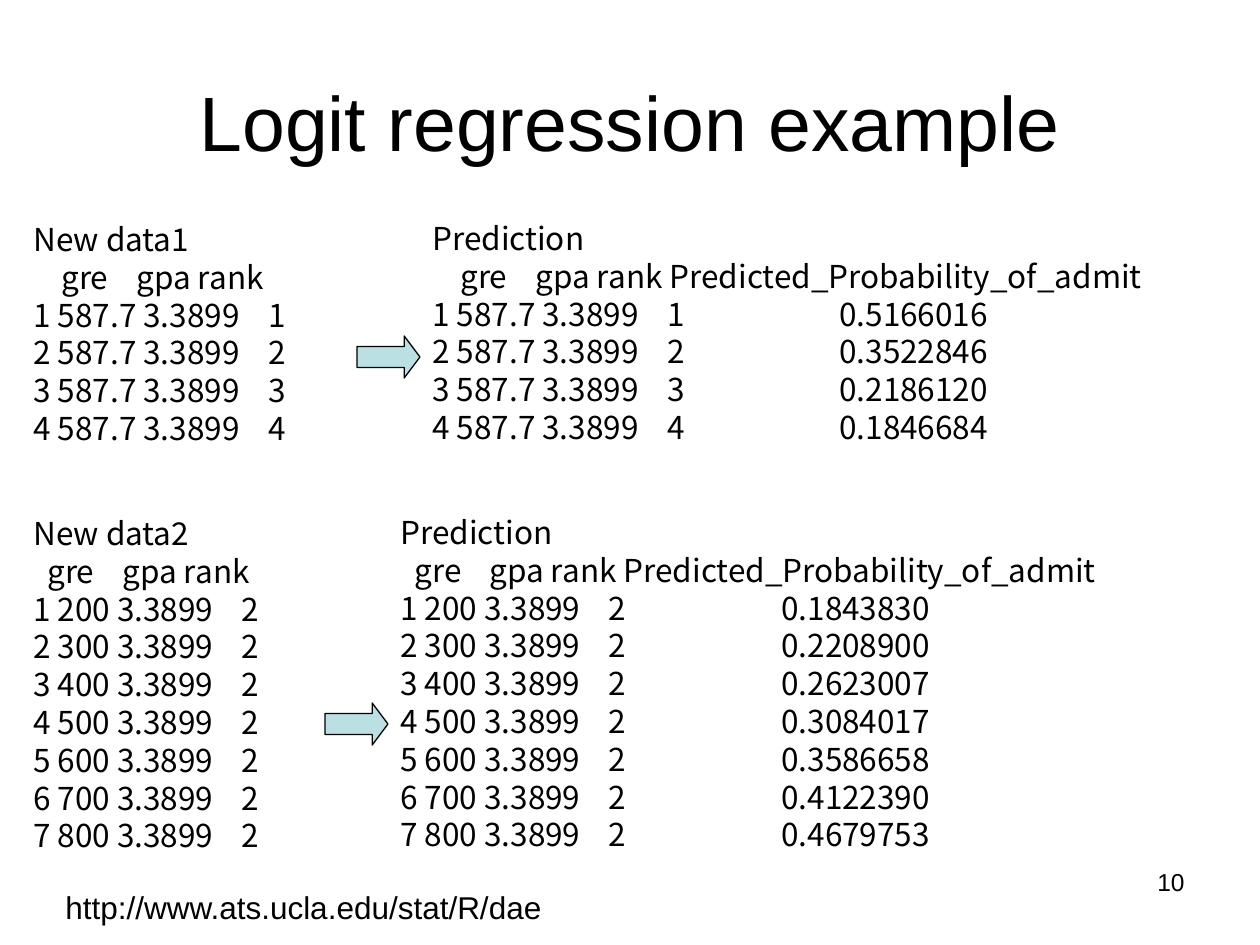
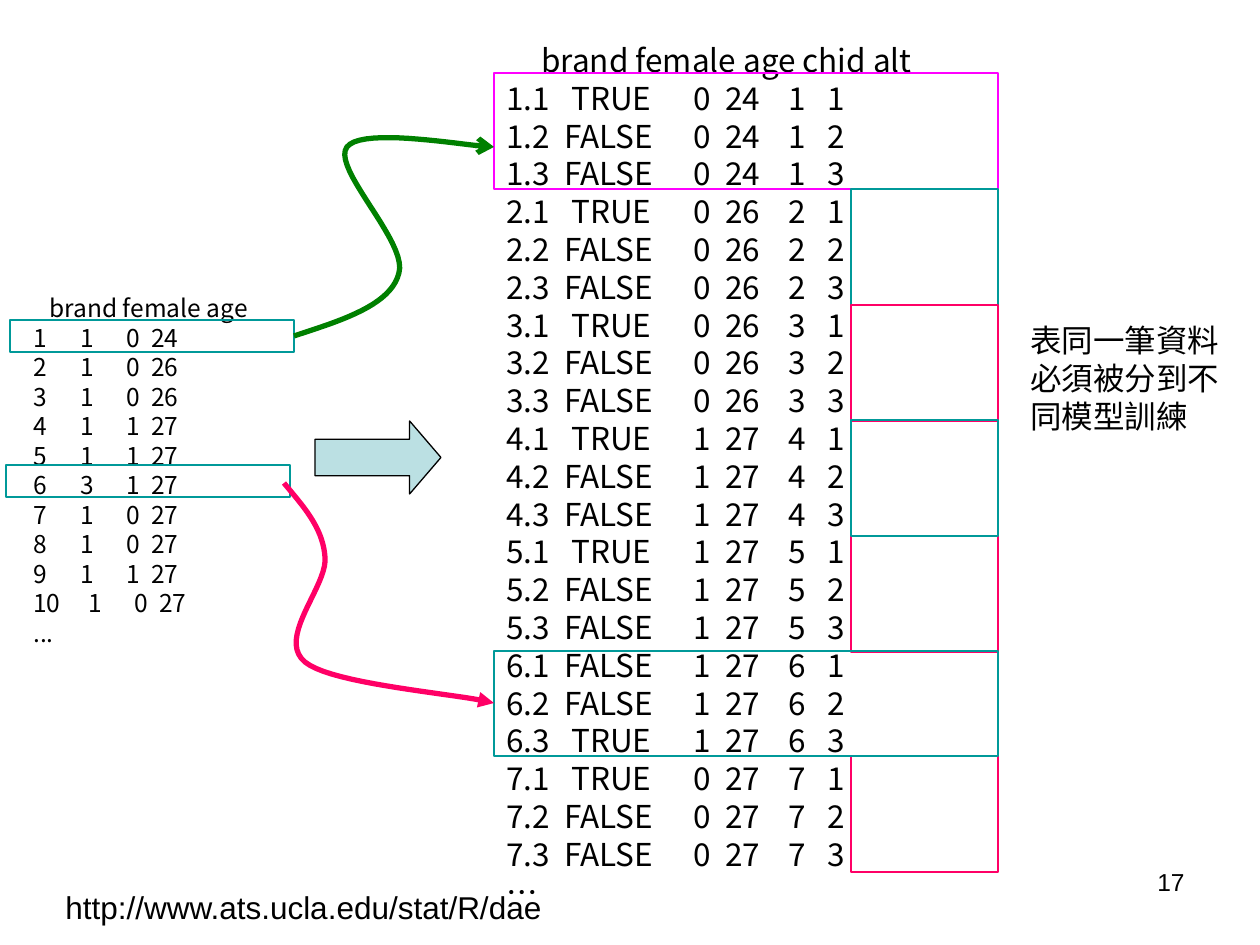
from lxml import etree
from pptx import Presentation
from pptx import util as u
from pptx.dml.color import RGBColor
from pptx.enum import shapes, text
from pptx.oxml.ns import qn

PX = 914400 / 126
BLACK = RGBColor(0x00, 0x00, 0x00)
PALE_TEAL = RGBColor(0xBB, 0xE0, 0xE3)
TEAL = RGBColor(0x00, 0x99, 0x99)
PINK = RGBColor(0xFF, 0x00, 0x66)
MAGENTA = RGBColor(0xFF, 0x00, 0xFF)
GREEN = RGBColor(0x00, 0x80, 0x00)

TITLE = {"name": "Arial", "size": u.Pt(44)}
URL = {"name": "Arial", "size": u.Pt(18)}
PAGE = {"name": "Arial", "size": u.Pt(14)}
DATA = {"name": "Noto Sans CJK KR", "size": u.Pt(18)}
SMALL_DATA = {"name": "Noto Sans CJK KR", "size": u.Pt(14)}

LEFT, RIGHT, CENTER = text.PP_ALIGN.LEFT, text.PP_ALIGN.RIGHT, text.PP_ALIGN.CENTER


def px(*lengths):
    return [u.Emu(round(length * PX)) for length in lengths]


def style(paragraph, look, align=LEFT):
    paragraph.alignment = align
    for key, value in look.items():
        setattr(paragraph.font, key, value)
    paragraph.font.color.rgb = BLACK


def set_tabs(paragraph, stops):
    tab_list = etree.SubElement(paragraph._p.get_or_add_pPr(), qn("a:tabLst"))
    for stop in stops:
        etree.SubElement(tab_list, qn("a:tab"), pos=str(px(stop)[0]), algn="l")


def add_lines(slide, box, lines, look, align=LEFT, pitch=None, top=6):
    frame = slide.shapes.add_textbox(*px(*box)).text_frame
    frame.word_wrap = True
    frame.margin_top = px(top)[0]
    for i, (line, stops) in enumerate(lines):
        paragraph = frame.add_paragraph() if i else frame.paragraphs[0]
        paragraph.text = line
        if pitch:
            paragraph.line_spacing = u.Pt(pitch)
        if stops:
            set_tabs(paragraph, stops)
        style(paragraph, look, align)


def add_arrow(slide, box, head):
    arrow = slide.shapes.add_shape(shapes.MSO_SHAPE.RIGHT_ARROW, *px(*box))
    arrow.shadow.inherit = False
    arrow.adjustments[0], arrow.adjustments[1] = 0.5, head
    arrow.fill.solid()
    arrow.fill.fore_color.rgb = PALE_TEAL
    arrow.line.color.rgb = BLACK
    arrow.line.width = u.Pt(0.75)


def add_frame(slide, box, color):
    frame = slide.shapes.add_shape(shapes.MSO_SHAPE.RECTANGLE, *px(*box))
    frame.shadow.inherit = False
    frame.fill.background()
    frame.line.color.rgb = color
    frame.line.width = u.Pt(0.75)


def bezier(p0, p1, p2, p3, steps=20):
    for i in range(1, steps + 1):
        t = i / steps
        s = 1 - t
        yield tuple(px(*(s**3 * a + 3 * s * s * t * b + 3 * s * t * t * c + t**3 * d
                         for a, b, c, d in zip(p0, p1, p2, p3))))


def add_curve(slide, knots, color, head):
    points = [point for i in range(0, len(knots) - 1, 3)
              for point in bezier(*knots[i:i + 4])]
    builder = slide.shapes.build_freeform(*px(*knots[0]))
    builder.add_line_segments(points, close=False)
    curve = builder.convert_to_shape()
    curve.shadow.inherit = False
    curve.fill.background()
    curve.line.color.rgb = color
    curve.line.width = u.Pt(3)
    etree.SubElement(curve.line._get_or_add_ln(), qn("a:tailEnd"), type=head)


def add_footer(slide, page):
    add_lines(slide, (53, 882, 1187, 50), [("http://www.ats.ucla.edu/stat/R/dae", ())], URL)
    add_lines(slide, (903, 861, 294, 66), [(page, ())], PAGE, RIGHT)


def add_title(slide, title):
    holder = slide.shapes.title
    holder.left, holder.top, holder.width, holder.height = px(63, 42, 1134, 158)
    holder.text_frame.text = title
    holder.text_frame.vertical_anchor = text.MSO_ANCHOR.MIDDLE
    style(holder.text_frame.paragraphs[0], TITLE, CENTER)


def add_prediction(slide, box, name, records, header_tabs, row_tabs, arrow_top):
    left, top, offset, width = box
    header = "\tgre\tgpa rank"
    given = [(name, ()), (header, header_tabs)]
    predicted = [("Prediction", ()),
                 (f"{header} Predicted_Probability_of_admit", header_tabs)]
    for i, (gre, rank, probability) in enumerate(records, 1):
        row = f"{i} {gre} 3.3899\t{rank}"
        given.append((row, row_tabs))
        predicted.append((f"{row}\t{probability}", row_tabs))
    height = 38 * len(given) + 13
    add_lines(slide, (left, top + 1, 347, height), given, DATA, pitch=21.6, top=9)
    add_lines(slide, (left + offset, top, width, height), predicted, DATA, pitch=21.6, top=9)
    add_arrow(slide, (left + offset - 63, top + arrow_top, 63, 42), 0.375)


def add_choices(slide, box):
    left, top, width, height = box
    rows = [("1 1", "0\t24"), ("2 1", "0\t26"), ("3 1", "0\t26"), ("4 1", "1\t27"),
            ("5 1", "1\t27"), ("6 3", "1\t27"), ("7 1", "0\t27"), ("8 1", "0\t27"),
            ("9 1", "1\t27"), ("10 1", "0\t27")]
    lines = [("\tbrand female age", (16,))]
    for choice, person in rows:
        number, brand = choice.split()
        stops = (55, 101, 126) if len(number) > 1 else (47, 93, 118)
        lines.append((f"{number}\t{brand}\t{person}", stops))
    lines.append(("...", ()))
    add_lines(slide, box, lines, SMALL_DATA, pitch=16.86, top=8)
    add_frame(slide, (left - 15, top + 180, 284, 32), TEAL)
    add_frame(slide, (left - 11, top + 35, 284, 32), TEAL)


def add_alternatives(slide, box):
    left, top, width, height = box
    people = [("0\t24", 1), ("0\t26", 1), ("0\t26", 1), ("1\t27", 1),
              ("1\t27", 1), ("1\t27", 3), ("0\t27", 1)]
    lines = [("\tbrand female age chid alt", (35,))]
    for chid, (person, brand) in enumerate(people, 1):
        for alt in range(1, 4):
            chosen, start = ("TRUE", 65) if alt == brand else ("FALSE", 58)
            lines.append((f"{chid}.{alt}\t{chosen}\t{person}\t{chid}\t{alt}",
                          (start, 187, 219, 282, 321)))
    lines.append(("…", ()))
    add_lines(slide, box, lines, DATA, pitch=21.6, top=9)
    add_frame(slide, (left, top + 41, 504, 116), MAGENTA)
    for offset, color in ((157, TEAL), (273, PINK), (504, PINK), (724, PINK), (388, TEAL)):
        add_frame(slide, (left + 357, top + offset, 147, 116), color)
    add_frame(slide, (left, top + 619, 504, 105), TEAL)


def build_logit_slide(deck):
    slide = deck.slides.add_slide(deck.slide_layouts[5])
    add_title(slide, "Logit regression example")
    by_rank = zip([587.7] * 4, range(1, 5),
                  ("0.5166016", "0.3522846", "0.2186120", "0.1846684"))
    by_gre = zip(range(200, 900, 100), [2] * 7,
                 ("0.1843830", "0.2208900", "0.2623007", "0.3084017",
                  "0.3586658", "0.4122390", "0.4679753"))
    add_prediction(slide, (21, 210, 399, 819), "New data1", by_rank,
                   (28, 103), (235, 407), 126)
    add_prediction(slide, (21, 504, 367, 850), "New data2", by_gre,
                   (14, 89), (208, 381), 199)
    add_footer(slide, "10")


def build_reshape_slide(deck):
    slide = deck.slides.add_slide(deck.slide_layouts[6])
    add_alternatives(slide, (494, 32, 630, 882))
    add_choices(slide, (21, 285, 368, 365))
    add_arrow(slide, (315, 421, 126, 73), 0.429)
    add_lines(slide, (1018, 315, 221, 126), [("表同一筆資料必須被分到不同模型訓練", ())],
              URL, pitch=21.6)
    add_curve(slide, [(284, 483), (302, 505), (323, 527), (325, 557), (328, 586),
                      (276, 638), (305, 662), (333, 685), (462, 694), (494, 703)],
              PINK, "triangle")
    add_curve(slide, [(294, 336), (343, 320), (391, 305), (399, 273), (408, 242),
                      (331, 168), (347, 147), (363, 126), (471, 147), (494, 147)],
              GREEN, "arrow")
    add_footer(slide, "17")


def main():
    deck = Presentation()
    deck.slide_width, deck.slide_height = px(1260, 945)
    build_logit_slide(deck)
    build_reshape_slide(deck)
    deck.save("out.pptx")


if __name__ == "__main__":
    main()
